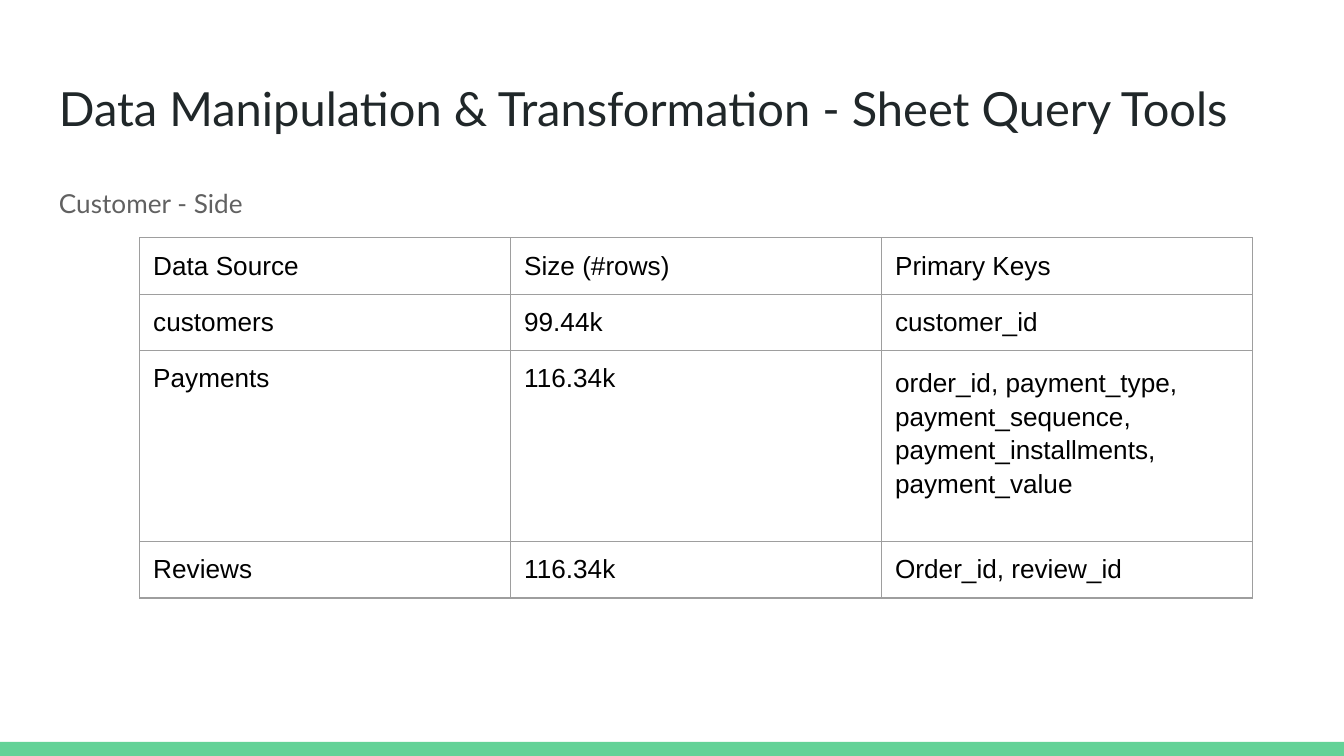
from lxml.etree import SubElement
from pptx import Presentation
from pptx.dml.color import RGBColor as RGB
from pptx.enum.shapes import MSO_SHAPE as Shape
from pptx.enum.text import MSO_ANCHOR as Anchor
from pptx.oxml.ns import qn
from pptx.util import Inches, Pt

GREEN = RGB(0x63, 0xD2, 0x97)
INK = RGB(0x20, 0x27, 0x29)
GREY = RGB(0x61, 0x61, 0x61)
BLACK = RGB(0, 0, 0)
RULE = RGB(0x9E, 0x9E, 0x9E)

HEAD = {"name": "Lato", "size": Pt(25.2), "color": INK}
SUB = {"name": "Lato", "size": Pt(14), "color": GREY}
CELL = {"name": "Arial", "size": Pt(14), "color": BLACK}
PAD = {"left": 0.1, "right": 0.1, "top": 0.1, "bottom": 0.1}
TIGHT = {**PAD, "bottom": 0.08}

ROWS = [
    ("Data Source", "Size (#rows)", "Primary Keys"),
    ("customers", "99.44k", "customer_id"),
    ("Payments", "116.34k",
     "order_id, payment_type, payment_sequence, "
     "payment_installments, payment_value"),
    ("Reviews", "116.34k", "Order_id, review_id"),
]
HEIGHTS = (0.42, 0.42, 1.42, 0.42)
LONG = 40


def write(para, text, style):
    run = para.add_run()
    run.text = text
    for key, value in style.items():
        if key == "color":
            run.font.color.rgb = value
        else:
            setattr(run.font, key, value)


def pad(item, sides):
    for side, gap in sides.items():
        setattr(item, f"margin_{side}", Inches(gap))


def add_text(slide, box, text, style, **para_style):
    frame = slide.shapes.add_textbox(*map(Inches, box)).text_frame
    frame.word_wrap = True
    frame.vertical_anchor = Anchor.TOP
    pad(frame, PAD)
    para = frame.paragraphs[0]
    for key, value in para_style.items():
        setattr(para, key, value)
    write(para, text, style)


def add_bar(slide, box):
    bar = slide.shapes.add_shape(Shape.RECTANGLE, *map(Inches, box))
    bar.shadow.inherit = False
    bar.fill.solid()
    bar.fill.fore_color.rgb = GREEN
    bar.line.fill.background()


def add_border(cell):
    props = cell._tc.get_or_add_tcPr()
    for tag in ("a:lnL", "a:lnR", "a:lnT", "a:lnB"):
        line = SubElement(props, qn(tag), w=str(Pt(0.75)))
        fill = SubElement(line, qn("a:solidFill"))
        SubElement(fill, qn("a:srgbClr"), val=str(RULE))


def add_grid(slide, box):
    """Draw the source table with equal columns across the box."""
    size = len(ROWS), len(ROWS[0])
    table = slide.shapes.add_table(*size, *map(Inches, box)).table
    table.first_row = table.horz_banding = False
    for col in table.columns:
        col.width = Inches(box[2] / size[1])
    for row, high, texts in zip(table.rows, HEIGHTS, ROWS):
        row.height = Inches(high)
        for cell, text in zip(row.cells, texts):
            pad(cell, TIGHT)
            add_border(cell)
            cell.fill.background()
            para = cell.text_frame.paragraphs[0]
            if len(text) > LONG:
                para.line_spacing = 1.15
            write(para, text, CELL)


def main():
    deck = Presentation()
    deck.slide_width = Inches(10)
    deck.slide_height = deck.slide_width * 9 // 16
    slide = deck.slides.add_slide(deck.slide_layouts[6])
    add_bar(slide, (0, 5.52, 10, 0.11))
    add_text(slide, (0.34, 0.49, 9.32, 0.63),
             "Data Manipulation & Transformation - Sheet Query Tools", HEAD)
    add_text(slide, (0.34, 1.26, 9.32, 3.74), "Customer - Side", SUB,
             line_spacing=1.15, space_after=Pt(12))
    add_grid(slide, (1.04, 1.77, 8.28, sum(HEIGHTS)))
    deck.save("out.pptx")


if __name__ == "__main__":
    main()
